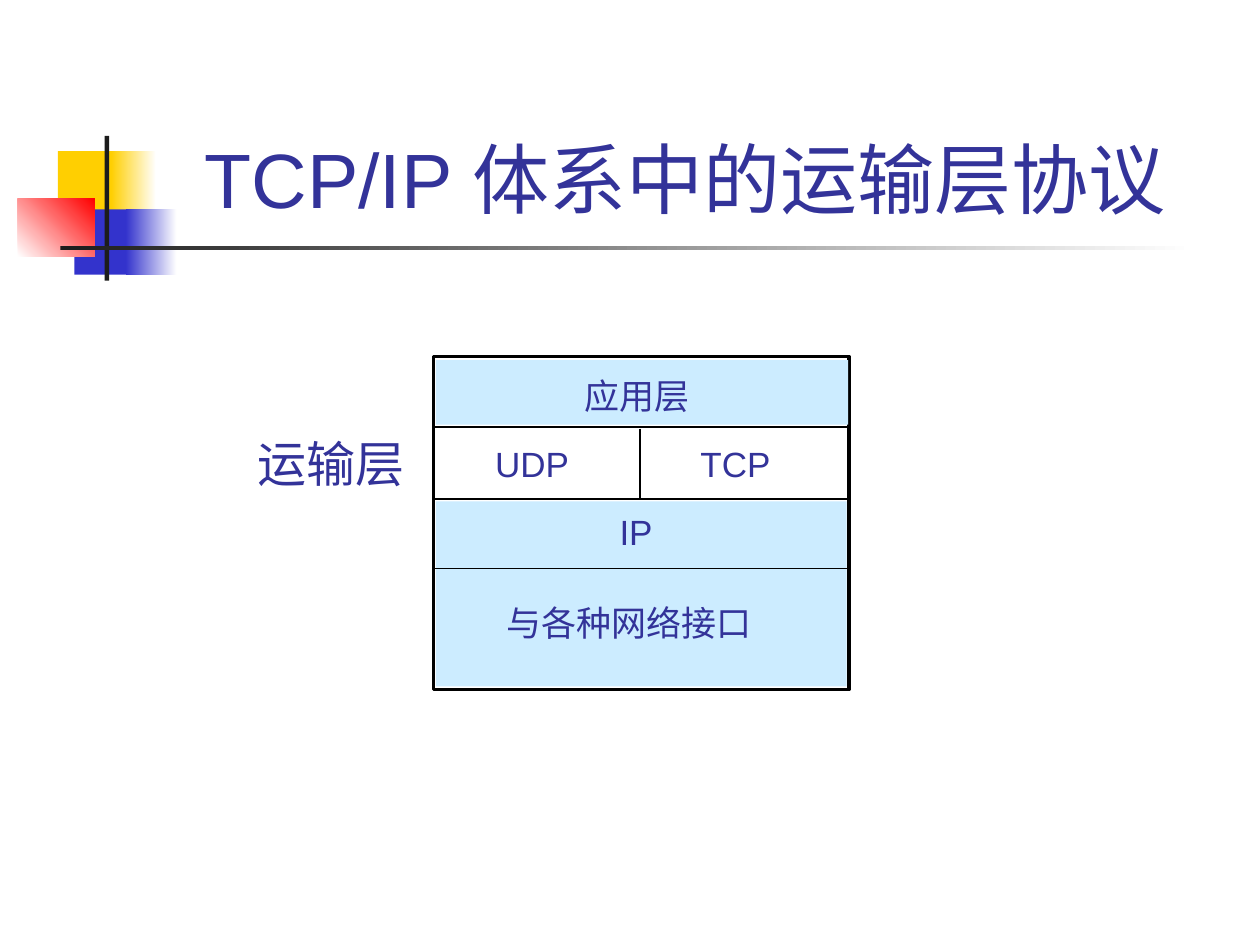
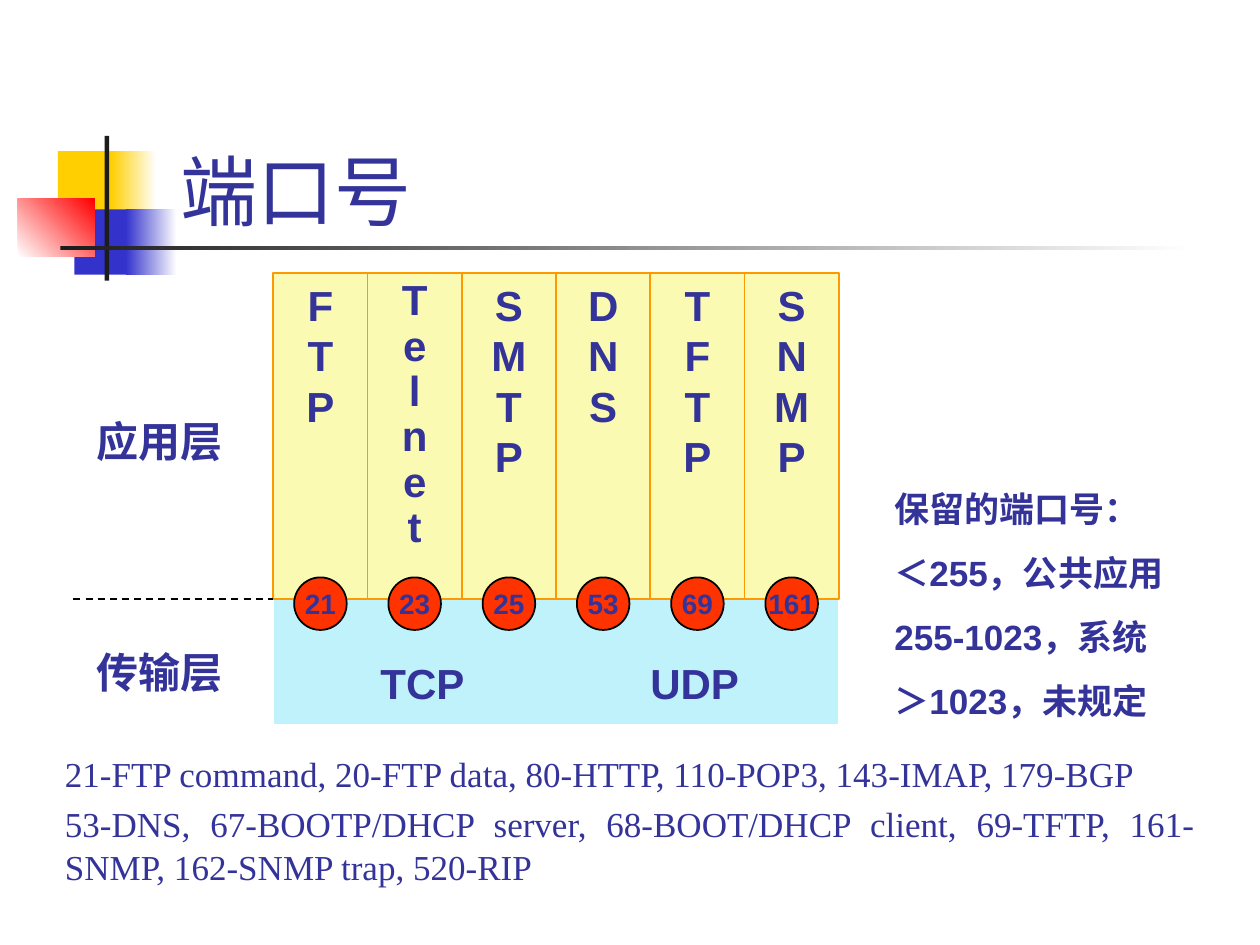
from lxml import etree
from pptx import Presentation
from pptx.dml.color import RGBColor
from pptx.enum.dml import MSO_LINE
from pptx.enum.shapes import MSO_CONNECTOR, MSO_SHAPE
from pptx.enum.text import MSO_ANCHOR, MSO_AUTO_SIZE, PP_ALIGN
from pptx.oxml.ns import qn
from pptx.util import Cm, Pt

NAVY = RGBColor(0x33, 0x33, 0x99)
BLACK = RGBColor(0x00, 0x00, 0x00)
WHITE = RGBColor(0xFF, 0xFF, 0xFF)
INK = RGBColor(0x1C, 0x1C, 0x1C)
GOLD = RGBColor(0xFF, 0xCF, 0x01)
BLUE = RGBColor(0x33, 0x33, 0xCC)
RED = RGBColor(0xFF, 0x00, 0x00)
PALE_BLUE = RGBColor(0xCC, 0xEC, 0xFF)
CYAN = RGBColor(0xC0, 0xF2, 0xFC)
CREAM = RGBColor(0xFA, 0xFA, 0xB2)
ORANGE = RGBColor(0xFF, 0x99, 0x00)
PORT_RED = RGBColor(0xFF, 0x33, 0x00)


class Deck:
    """Holds the style and the current slide; lengths are given in cm."""

    font = "Arial"
    color = NAVY

    def __init__(self):
        self.prs = Presentation()
        self.prs.slide_width, self.prs.slide_height = Cm(25.4), Cm(19.05)
        self.layout = self.prs.slide_layouts[5]
        self.s = None

    def slide(self, title, box, font=font, align=PP_ALIGN.LEFT):
        self.s = self.prs.slides.add_slide(self.layout)
        sp = self.s.shapes.title
        sp.left, sp.top, sp.width, sp.height = map(Cm, box)
        self.set_text(sp, [title], 44, font=font, align=align, anchor=MSO_ANCHOR.BOTTOM)

    def set_text(self, sp, lines, size, bold=False, font=font, align=PP_ALIGN.LEFT,
                 anchor=MSO_ANCHOR.TOP, wrap=True, before=0, spacing=None):
        tf = sp.text_frame
        tf.word_wrap, tf.auto_size, tf.vertical_anchor = wrap, MSO_AUTO_SIZE.NONE, anchor
        tf.text = "\n".join(lines)
        for i, p in enumerate(tf.paragraphs):
            p.alignment = align
            if spacing:
                p.line_spacing = spacing
            if i and before:
                p.space_before = Pt(before)
            for r in p.runs:
                r.font.size, r.font.bold, r.font.name = Pt(size), bold, font
                r.font.color.rgb = self.color

    def text(self, box, lines, size, **style):
        sp = self.s.shapes.add_textbox(*map(Cm, box))
        self.set_text(sp, lines, size, **style)
        return sp

    def shape(self, box, fill=None, line=None, width=1, kind=MSO_SHAPE.RECTANGLE):
        sp = self.s.shapes.add_shape(kind, *map(Cm, box))
        sp.shadow.inherit = False
        if fill is None:
            sp.fill.background()
        else:
            sp.fill.solid()
            sp.fill.fore_color.rgb = fill
        if line is None:
            sp.line.fill.background()
        else:
            sp.line.color.rgb, sp.line.width = line, Pt(width)
        return sp

    def fade(self, box, start, end, angle=0):
        sp = self.shape(box)
        sp.fill.gradient()
        sp.fill.gradient_angle = angle
        for stop, color in zip(sp.fill.gradient_stops, (start, end)):
            stop.color.rgb = color
        return sp

    def line(self, x1, y1, x2, y2, dash=None):
        c = self.s.shapes.add_connector(MSO_CONNECTOR.STRAIGHT, *map(Cm, (x1, y1, x2, y2)))
        c.line.color.rgb, c.line.width = BLACK, Pt(1)
        if dash:
            c.line.dash_style = dash
        etree.SubElement(c.element.spPr, qn("a:effectLst"))

    def tab_stop(self, sp, pos):
        pPr = sp.text_frame.paragraphs[0]._p.get_or_add_pPr()
        tabs = etree.SubElement(pPr, qn("a:tabLst"))
        etree.SubElement(tabs, qn("a:tab"), pos=str(Cm(pos)), algn="l")

    def emblem(self):
        """Draws the shared title ornament and moves it to the layout."""
        parts = [
            self.shape((1.17, 3.05, 1.22, 1.32), GOLD),
            self.fade((2.24, 3.05, 0.91, 1.32), GOLD, WHITE),
            self.shape((1.5, 4.22, 1.17, 1.32), BLUE),
            self.fade((2.54, 4.22, 1.02, 1.32), BLUE, WHITE),
            self.fade((0.36, 4.01, 1.55, 1.17), WHITE, RED, 45),
            self.shape((2.11, 2.74, 0.09, 2.92), INK),
            self.fade((1.22, 4.95, 22.86, 0.09), INK, WHITE),
        ]
        for i, sp in enumerate(parts, 101):
            sp.element.nvSpPr.cNvPr.set("id", str(i))
            self.layout.shapes.element.append(sp.element)


def protocol_stack(d):
    d.slide("TCP/IP 体系中的运输层协议", (3, 0.58, 21.64, 4.06), align=PP_ALIGN.CENTER)
    d.emblem()

    # Frame, layer bands and dividers
    left, right = 8.74, 17.12
    d.shape((left, 7.19, right - left, 6.71), WHITE, BLACK, 2)
    d.shape((8.79, 7.26, 8.31, 1.3), PALE_BLUE)
    d.shape((8.79, 10.11, 8.28, 3.73), PALE_BLUE)
    for y in (8.61, 10.06, 11.46):
        d.line(left, y, right, y)
    d.line(12.9, 8.64, 12.9, 10.03)

    # Layer names
    for name, x, y, w in (("应用层", 11.53, 7.42, 2.62), ("UDP", 9.73, 8.79, 2.01),
                          ("TCP", 13.87, 8.79, 1.93), ("IP", 12.24, 10.16, 1.17),
                          ("与各种网络接口", 9.96, 12.01, 6.4)):
        d.text((x, y, w, 1.09), [name], 20, wrap=name == "与各种网络接口")
    d.text((4.95, 8.61, 3.45, 1.45), ["运输层"], 28, font="Lato", wrap=False)


def port_numbers(d):
    d.slide("端口号", (3.38, 2.34, 19.69, 2.54), font="Calibri")

    # Application columns standing on the transport layer
    left, base, col, dot = 5.51, 12.07, 1.9, 1.06
    d.shape((left, base, 6 * col, 2.54), CYAN, WHITE)
    services = {"FTP": 21, "Telnet": 23, "SMTP": 25, "DNS": 53, "TFTP": 69, "SNMP": 161}
    for i, name in enumerate(services):
        sp = d.shape((left + i * col, 5.51, col, base - 5.51), CREAM, ORANGE)
        d.set_text(sp, name, 24, bold=True, align=PP_ALIGN.CENTER, wrap=False,
                   spacing=0.9 if name == "Telnet" else None)

    # Port circles
    for i, port in enumerate(services.values()):
        x = left + i * col + (col - dot) / 2
        sp = d.shape((x, 11.64, dot, dot), PORT_RED, BLACK, kind=MSO_SHAPE.OVAL)
        d.set_text(sp, [str(port)], 16, bold=True, align=PP_ALIGN.CENTER,
                   anchor=MSO_ANCHOR.MIDDLE, wrap=False)
    d.line(1.48, base, left, base, MSO_LINE.DASH)

    # Layer labels
    sp = d.text((7.42, 13.12, 8.46, 1.27), ["TCP\tUDP"], 24, bold=True)
    d.tab_stop(sp, 5.44)
    for name, y in (("应用层", 8.26), ("传输层", 12.91)):
        d.text((1.7, y, 3.18, 1.27), [name], 24, bold=True)

    # Reserved ranges and well-known ports
    sp = d.shape((17.78, 9.7, 6.78, 4.98), line=WHITE)
    d.set_text(sp, ["保留的端口号：", "＜255，公共应用", "255-1023，系统", "＞1023，未规定"],
               20, bold=True, before=12.5)
    d.text((1.06, 15.04, 23.28, 2.97),
           ["21-FTP command, 20-FTP data, 80-HTTP, 110-POP3, 143-IMAP, 179-BGP",
            "53-DNS, 67-BOOTP/DHCP server, 68-BOOT/DHCP client, 69-TFTP, "
            "161-SNMP, 162-SNMP trap, 520-RIP"],
           20, font="Times New Roman", align=PP_ALIGN.JUSTIFY, before=5)


def main():
    d = Deck()
    protocol_stack(d)
    port_numbers(d)
    d.prs.save("out.pptx")


if __name__ == "__main__":
    main()
